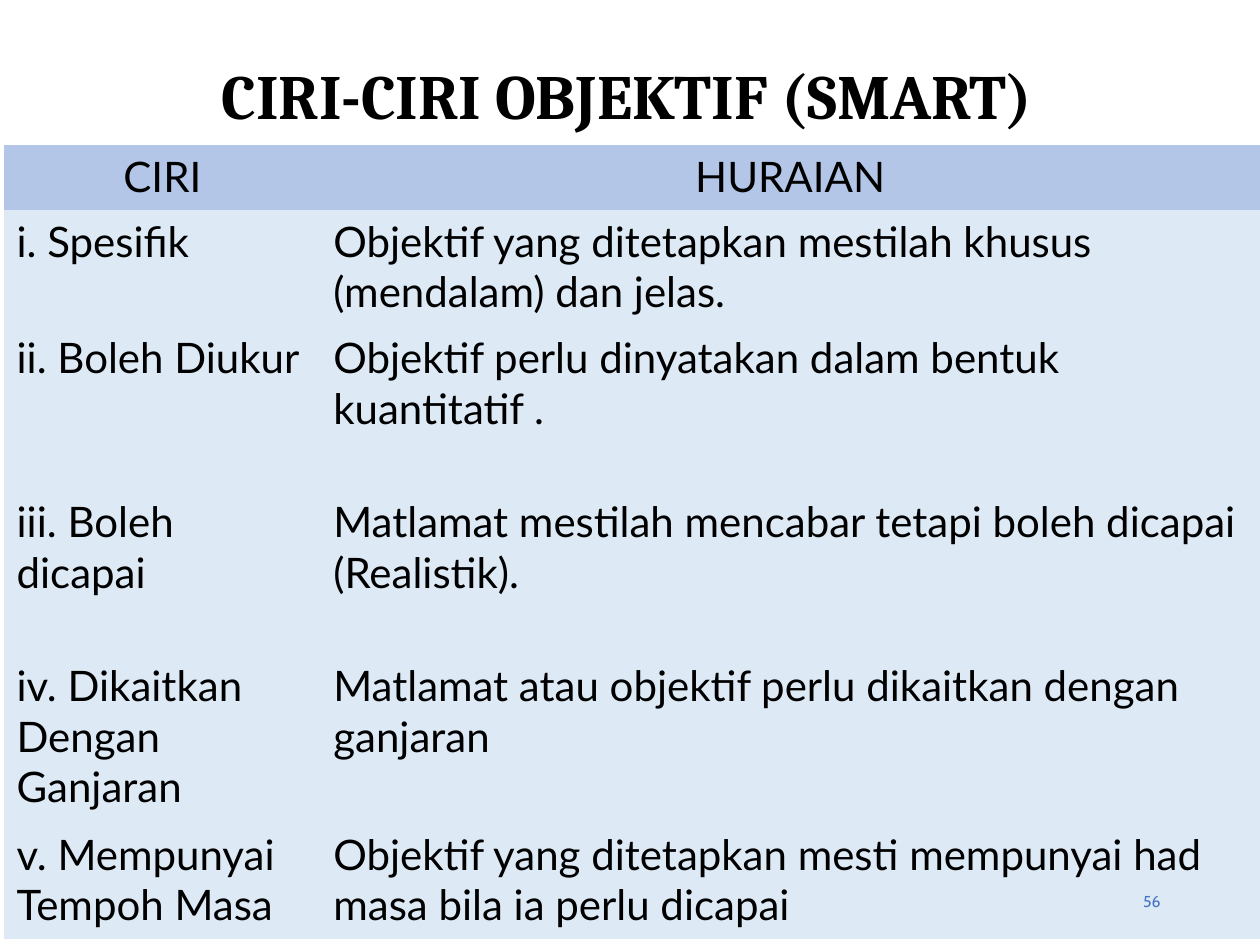
from pptx import Presentation
from pptx.dml.color import RGBColor
from pptx.enum.text import MSO_ANCHOR, PP_ALIGN
from pptx.util import Pt

HEADINGS = ("CIRI", "HURAIAN")
TRAITS = [
    ("i. Spesifik", "Objektif yang ditetapkan mestilah khusus (mendalam) dan jelas."),
    ("ii. Boleh Diukur", "Objektif perlu dinyatakan dalam bentuk kuantitatif ."),
    ("iii. Boleh dicapai", "Matlamat mestilah mencabar tetapi boleh dicapai (Realistik)."),
    ("iv. Dikaitkan Dengan Ganjaran", "Matlamat atau objektif perlu dikaitkan dengan ganjaran"),
    ("v. Mempunyai Tempoh Masa",
     "Objektif yang ditetapkan mesti mempunyai had masa bila ia perlu dicapai"),
]
COLUMN_WIDTHS = (181, 536.5)
ROW_HEIGHTS = (37, 66.6, 93.7, 93.7, 96.5, 66.6)
PLAIN_TABLE_STYLE = "{2D5ABB26-0587-4C30-8999-92F81FD0307C}"

TITLE = {"name": "Cambria", "size": Pt(36), "bold": True}
BODY = {"name": "Lato", "size": Pt(24), "bold": False}
PAGE_NUMBER = {"name": "Cabin", "size": Pt(9), "bold": False}


def color(value):
    return RGBColor.from_string(value)


def write(frame, words, look, ink, align):
    paragraph = frame.paragraphs[0]
    paragraph.alignment = align
    run = paragraph.add_run()
    run.text = words
    for attribute, value in look.items():
        setattr(run.font, attribute, value)
    run.font.color.rgb = color(ink)


def add_label(slide, bounds, words, look, ink, align):
    frame = slide.shapes.add_textbox(*map(Pt, bounds)).text_frame
    frame.word_wrap = True
    frame.vertical_anchor = MSO_ANCHOR.MIDDLE
    write(frame, words, look, ink, align)


def add_trait_table(slide, left, top):
    rows = [HEADINGS, *TRAITS]
    holder = slide.shapes.add_table(
        len(rows), len(HEADINGS), Pt(left), Pt(top),
        Pt(sum(COLUMN_WIDTHS)), Pt(sum(ROW_HEIGHTS)))
    traits = holder.table
    traits.first_row = traits.horz_banding = False
    holder.element.xpath(".//a:tableStyleId")[0].text = PLAIN_TABLE_STYLE
    for column, width in zip(traits.columns, COLUMN_WIDTHS):
        column.width = Pt(width)
    for index, (row, height, entries) in enumerate(zip(traits.rows, ROW_HEIGHTS, rows)):
        row.height = Pt(height)
        fill, align = ("DDEAF6", PP_ALIGN.LEFT) if index else ("B3C6E7", PP_ALIGN.CENTER)
        for cell, words in zip(row.cells, entries):
            cell.fill.solid()
            cell.fill.fore_color.rgb = color(fill)
            write(cell.text_frame, words, BODY, "000000", align)


def main():
    deck = Presentation()
    deck.slide_width, deck.slide_height = Pt(720), Pt(540)
    slide = deck.slides.add_slide(deck.slide_layouts[6])
    add_trait_table(slide, 2.3, 82.8)
    add_label(slide, (119.5, 24.5, 623.5, 58.3), "CIRI-CIRI OBJEKTIF (SMART)",
              TITLE, "000000", PP_ALIGN.LEFT)
    add_label(slide, (508.3, 500.4, 162, 28.8), "56",
              PAGE_NUMBER, "4472C4", PP_ALIGN.RIGHT)
    deck.save("out.pptx")


if __name__ == "__main__":
    main()
